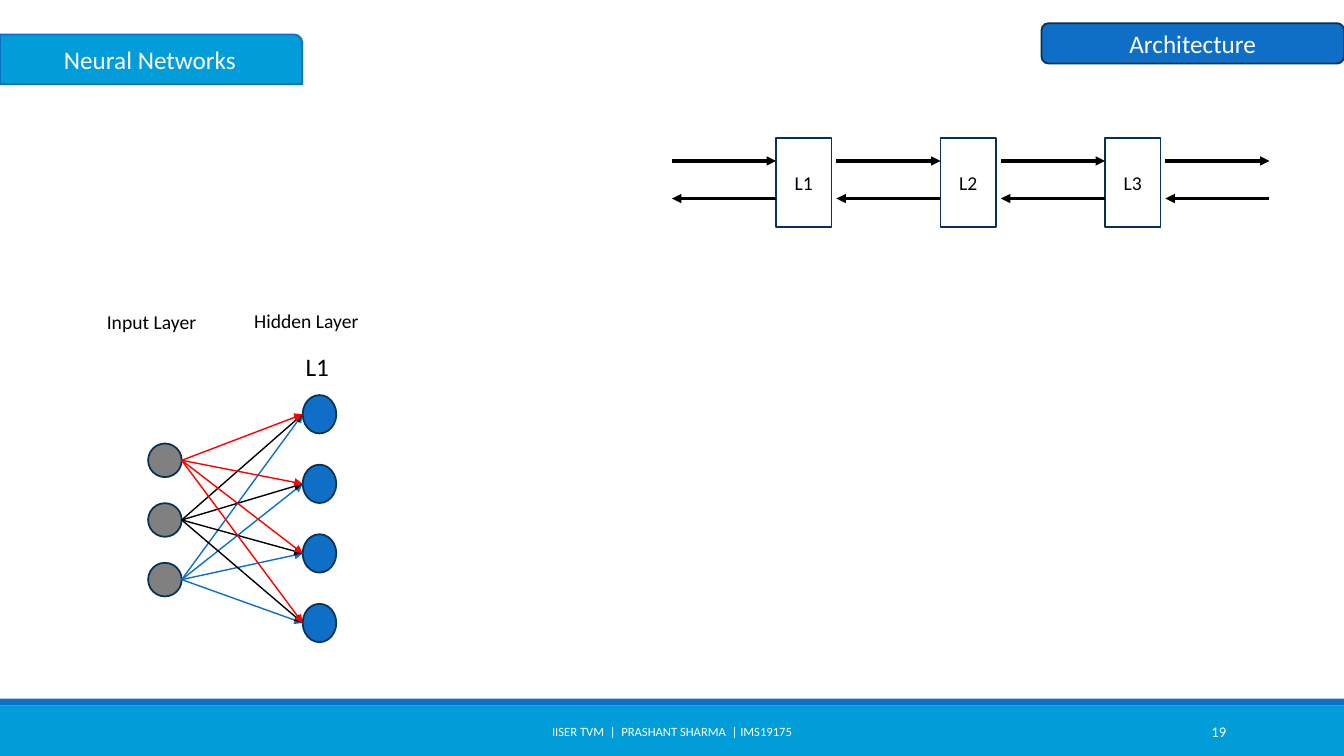
from pptx import Presentation
from pptx.dml.color import RGBColor
from pptx.enum.shapes import MSO_CONNECTOR as Conn, MSO_SHAPE as Kind
from pptx.enum.text import MSO_ANCHOR as Anchor, PP_ALIGN as Align
from pptx.oxml.ns import qn
from pptx.util import Pt
from lxml.etree import SubElement

WHITE, BLACK, RED, GREY = "FFFFFF", "000000", "FF0000", "808080"
CYAN, BLUE, NAVY = "009DD9", "0F6FC6", "073157"
WIDE, HIGH = 960, 540


def rgb(code):
    return RGBColor.from_string(code)


def assign(item, values):
    for name, value in values.items():
        setattr(item, name, value)


def write(shape, text, size, color, align=Align.CENTER, wrap=True, pad=7.2):
    frame = shape.text_frame
    assign(frame, {"word_wrap": wrap, "vertical_anchor": Anchor.MIDDLE,
                   "margin_left": Pt(pad), "margin_right": Pt(pad)})
    para = frame.paragraphs[0]
    para.alignment = align
    run = para.add_run()
    run.text = text
    assign(run.font, {"name": "Calibri", "size": Pt(size)})
    run.font.color.rgb = rgb(color)


def label(slide, box, text, size, color, align, wrap=True):
    shape = slide.shapes.add_textbox(*map(Pt, box))
    write(shape, text, size, color, align, wrap)


def block(slide, kind, box, fill, line=None):
    shape = slide.shapes.add_shape(kind, *map(Pt, box))
    shape.shadow.inherit = False
    shape.fill.solid()
    shape.fill.fore_color.rgb = rgb(fill)
    if line:
        shape.line.color.rgb = rgb(line)
        shape.line.width = Pt(1.25)
    else:
        shape.line.fill.background()
    return shape


def arrow(slide, start, end, color, width):
    link = slide.shapes.add_connector(Conn.STRAIGHT, *map(Pt, (*start, *end)))
    link.line.color.rgb = rgb(color)
    link.line.width = Pt(width)
    SubElement(link.line._get_or_add_ln(), qn("a:tailEnd"), type="triangle")
    SubElement(link._element.spPr, qn("a:effectLst"))


# Bottom band with author line and page number
def footer(slide, left, top, width, height):
    strip = 5
    block(slide, Kind.RECTANGLE, (left, top + strip, width, height - strip), CYAN)
    block(slide, Kind.RECTANGLE, (left, top, width, strip), BLUE)
    row = top + 9.3
    label(slide, (left + 290, row, 380, 28.8),
          "IISER TVM  |  PRASHANT SHARMA  | IMS19175", 9, WHITE, Align.CENTER)
    label(slide, (left + 780, row, 103, 28.8), "19", 10.5, WHITE, Align.RIGHT)


# Title tabs at both edges
def header(slide, left, top, width):
    tab = 216
    title = block(slide, Kind.ROUND_1_RECTANGLE, (left, top + 8, tab, 35.5), CYAN, BLUE)
    write(title, "Neural Networks", 18, WHITE)
    topic = block(slide, Kind.ROUNDED_RECTANGLE,
                  (left + width - tab, top, tab, 28.8), BLUE, NAVY)
    write(topic, "Architecture", 18, WHITE)


# Layers in a row, with forward and backward arrows around them
def chain(slide, left, top, height, names):
    reach, step = 74.3, 117.5
    ahead, back = top + 16.4, top + 43.2
    for i in range(len(names) + 1):
        start = left + i * step
        end = start + reach
        if i < len(names):
            layer = block(slide, Kind.RECTANGLE, (end, top, 39.6, height), WHITE, NAVY)
            write(layer, names[i], 14, BLACK, pad=0)
        arrow(slide, (start, ahead), (end, ahead), BLACK, 2.25)
        arrow(slide, (end, back), (start, back), BLACK, 2.25)


# One column of nodes; returns the middle height of each
def column(slide, left, top, size, step, count, fill):
    tops = [top + i * step for i in range(count)]
    for y in tops:
        block(slide, Kind.OVAL, (left, y, *size), fill, NAVY)
    return [y + size[1] / 2 for y in tops]


# Fully connected input and hidden layers with their captions
def network(slide, left, top):
    near, far, node = left + 36.6, left + 147, 24
    hidden = column(slide, far, top + 65.4, (node, 27.4), 49.7, 4, BLUE)
    inputs = column(slide, near, top + 100, (node, 24), 42.6, 3, GREY)
    links = list(zip(inputs, (RED, BLACK, BLUE)))
    for y, color in reversed(links):
        for goal in hidden:
            arrow(slide, (near + node, y), (far, goal), color, 1)
    captions = [("Hidden Layer", 14, 105.2, 0, 90, 24.2),
                ("L1", 18, 142, 30.4, 31.7, 29),
                ("Input Layer", 14, 0, 0.8, 79.2, 24.2)]
    for text, size, x, y, wide, high in captions:
        label(slide, (left + x, top + y, wide, high), text, size, BLACK,
              Align.LEFT, wrap=False)


def main():
    deck = Presentation()
    assign(deck, {"slide_width": Pt(WIDE), "slide_height": Pt(HIGH)})
    slide = deck.slides.add_slide(deck.slide_layouts[6])
    footer(slide, 0, 499, WIDE, HIGH - 499)
    header(slide, 0, 16.6, WIDE)
    chain(slide, 480, 98.6, 63.8, ["L1", "L2", "L3"])
    network(slide, 69.2, 216.8)
    deck.save("out.pptx")


if __name__ == "__main__":
    main()
